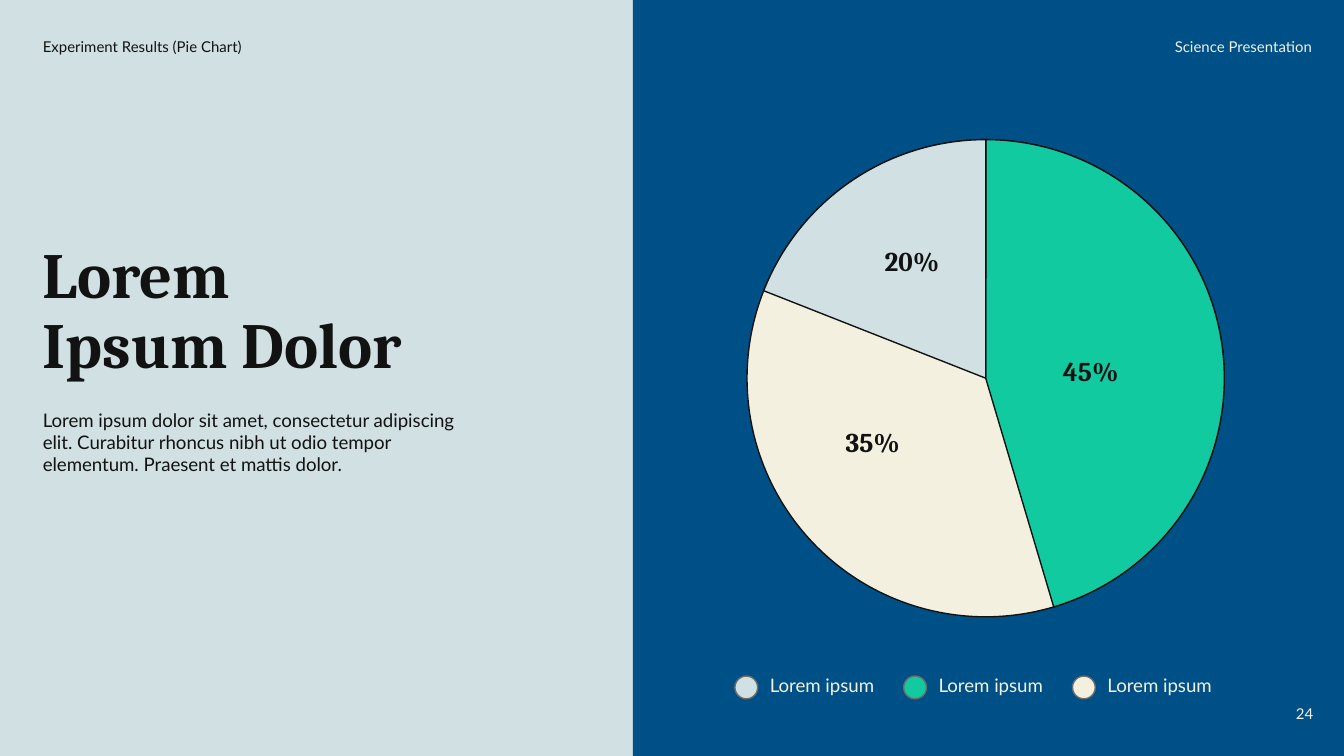
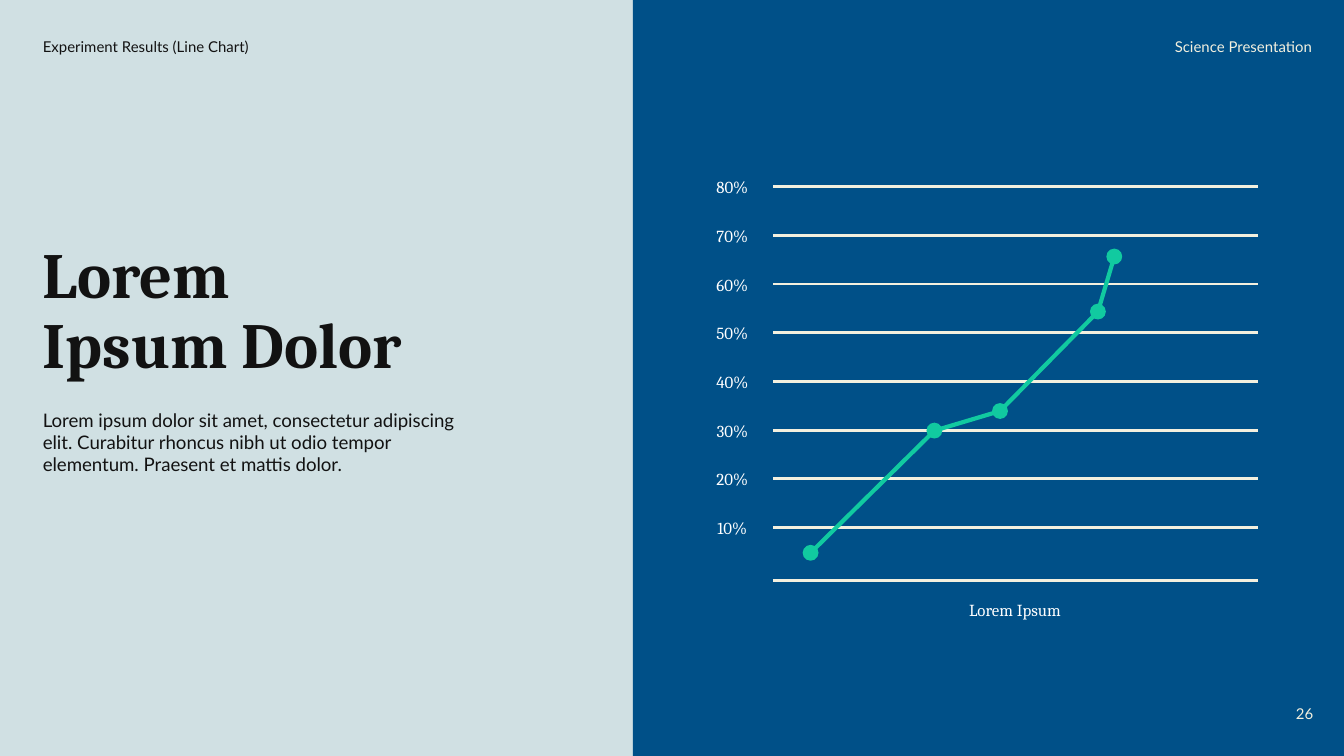
from dataclasses import dataclass
from itertools import pairwise

from lxml.etree import SubElement
from pptx import Presentation
from pptx.dml.color import RGBColor
from pptx.enum.shapes import MSO_CONNECTOR, MSO_SHAPE
from pptx.enum.text import MSO_ANCHOR, PP_ALIGN
from pptx.oxml.ns import qn
from pptx.util import Cm, Pt


@dataclass(frozen=True)
class Theme:
    mist: RGBColor = RGBColor(0xD0, 0xE0, 0xE3)
    blue: RGBColor = RGBColor(0x00, 0x50, 0x88)
    cream: RGBColor = RGBColor(0xF3, 0xF0, 0xDF)
    green: RGBColor = RGBColor(0x11, 0xCA, 0xA0)
    ink: RGBColor = RGBColor(0x12, 0x12, 0x12)
    gray: RGBColor = RGBColor(0x6D, 0x6D, 0x6B)
    white: RGBColor = RGBColor(0xFF, 0xFF, 0xFF)
    serif: str = "Cambria"
    sans: str = "Lato"
    title: float = 34.5
    value: float = 14.5
    body: float = 10
    axis: float = 9
    small: float = 8


T = Theme()


def add_text(s, box, text, size, color, font=T.sans, bold=False,
             align=PP_ALIGN.LEFT, anchor=MSO_ANCHOR.MIDDLE, spacing=1.0):
    tf = s.shapes.add_textbox(*map(Cm, box)).text_frame
    tf.word_wrap = True
    tf.vertical_anchor = anchor
    tf.margin_left = tf.margin_right = tf.margin_top = tf.margin_bottom = Cm(0.25)
    tf.text = text
    for p in tf.paragraphs:
        p.alignment = align
        p.line_spacing = spacing
        for r in p.runs:
            r.font.name = font
            r.font.size = Pt(size)
            r.font.bold = bold
            r.font.color.rgb = color


def add_shape(s, kind, box, fill, line=None):
    sp = s.shapes.add_shape(kind, *map(Cm, box))
    sp.shadow.inherit = False
    sp.fill.solid()
    sp.fill.fore_color.rgb = fill
    if line is None:
        sp.line.fill.background()
    else:
        sp.line.color.rgb = line
        sp.line.width = Pt(0.75)
    return sp


prs = Presentation()
prs.slide_width, prs.slide_height = Cm(25.4), Cm(14.29)
blank = prs.slide_layouts[6]
slides = []

for topic, number in [("Pie Chart", "24"), ("Line Chart", "26")]:
    s = prs.slides.add_slide(blank)
    s.background.fill.solid()
    s.background.fill.fore_color.rgb = T.mist
    add_shape(s, MSO_SHAPE.RECTANGLE, (11.96, 0, 13.44, 14.29), T.blue)
    add_text(s, (0.56, 0.56, 5.16, 0.58), f"Experiment Results ({topic})",
             T.small, T.ink, spacing=1.15)
    add_text(s, (19.69, 0.56, 5.36, 0.58), "Science Presentation",
             T.small, T.cream, align=PP_ALIGN.RIGHT, spacing=1.15)
    add_text(s, (0.56, 2.92, 8.76, 4.55), "Lorem\nIpsum Dolor", T.title, T.ink,
             T.serif, True, anchor=MSO_ANCHOR.BOTTOM, spacing=0.9)
    add_text(s, (0.56, 7.47, 8.76, 5.05),
             "Lorem ipsum dolor sit amet, consectetur adipiscing elit. "
             "Curabitur rhoncus nibh ut odio tempor elementum. "
             "Praesent et mattis dolor.",
             T.body, T.ink, anchor=MSO_ANCHOR.TOP)
    add_text(s, (23.55, 12.95, 1.52, 1.09), number, T.small, T.cream,
             align=PP_ALIGN.RIGHT)
    slides.append(s)

pie_slide, line_slide = slides

slices = [(T.cream, 270.06, 270), (T.green, 270.06, 73.43), (T.mist, 201.51, 270)]
for color, start, end in slices:
    sp = add_shape(pie_slide, MSO_SHAPE.PIE, (14.12, 2.64, 9.02, 9.02), color, T.ink)
    for i, degrees in enumerate((start, end)):
        sp.adjustments[i] = degrees * 0.6

for value, x, y in [("45%", 19.74, 6.53), ("35%", 15.62, 7.87), ("20%", 16.36, 4.45)]:
    add_text(pie_slide, (x, y, 1.75, 0.97), value, T.value, T.ink, T.serif, True,
             PP_ALIGN.CENTER)

for i, color in enumerate((T.mist, T.green, T.cream)):
    x = 13.89 + 3.19 * i
    add_shape(pie_slide, MSO_SHAPE.OVAL, (x, 12.78, 0.43, 0.43), color, T.gray)
    add_text(pie_slide, (x + 0.41, 12.65, 2.77, 0.64), "Lorem ipsum",
             T.body, T.cream, spacing=0.9)

grid = [3.53 + 0.92 * i for i in range(8)]
points = [(15.32, 10.45), (17.66, 8.14), (18.9, 7.77), (20.75, 5.89), (21.06, 4.85)]
lines = [((14.61, y), (23.77, y), T.cream, 1.5) for y in [*grid, 10.97]]
lines += [(a, b, T.green, 2.25) for a, b in pairwise(points)]
for a, b, color, width in lines:
    c = line_slide.shapes.add_connector(MSO_CONNECTOR.STRAIGHT, *map(Cm, a + b))
    c.line.color.rgb = color
    c.line.width = Pt(width)
    SubElement(c._element.spPr, qn("a:effectLst"))

for x, y in points:
    add_shape(line_slide, MSO_SHAPE.OVAL, (x - 0.15, y - 0.15, 0.3, 0.3), T.green)

for i, y in enumerate(grid):
    add_text(line_slide, (13.08, y - 0.28, 1.52, 0.58), f"{80 - 10 * i}%",
             T.axis, T.white, T.serif, align=PP_ALIGN.CENTER)
add_text(line_slide, (17.63, 10.97, 3.1, 0.84), "Lorem Ipsum", T.axis, T.white,
         T.serif, align=PP_ALIGN.CENTER, anchor=MSO_ANCHOR.TOP, spacing=1.3)

prs.save("out.pptx")
